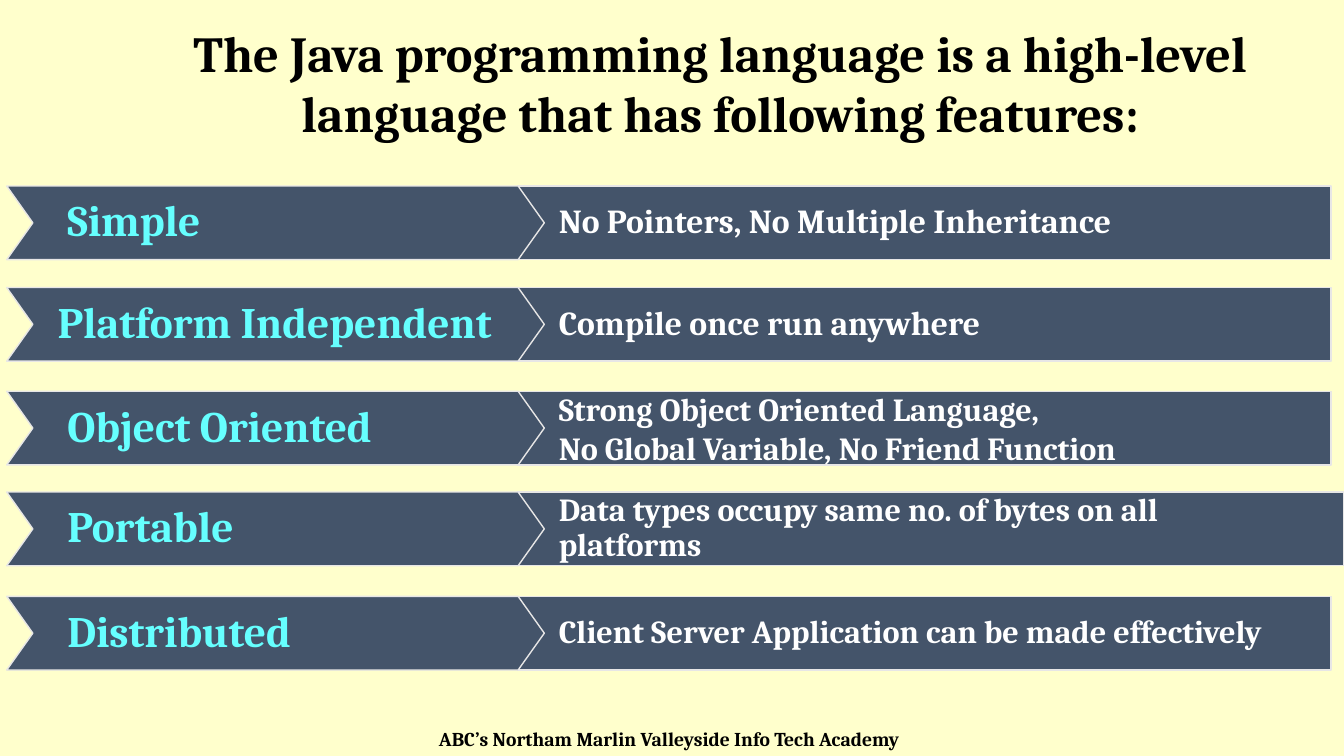
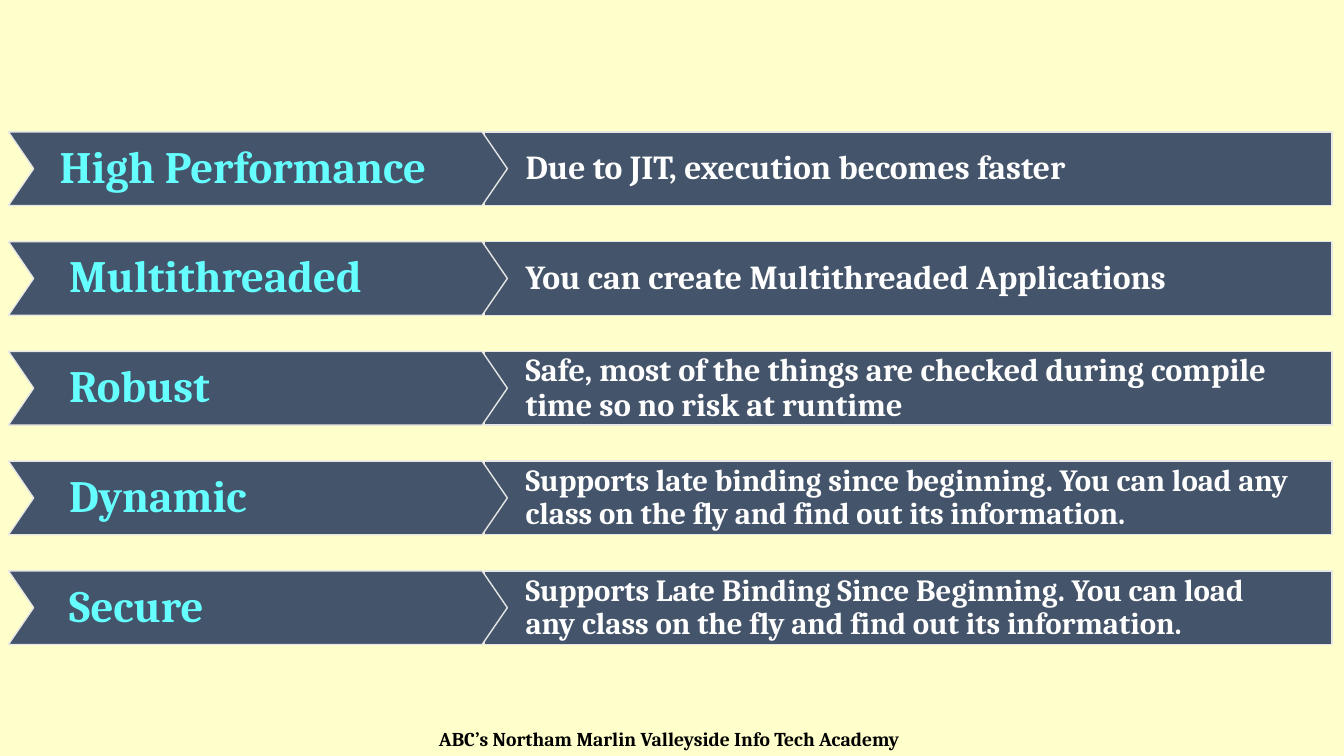
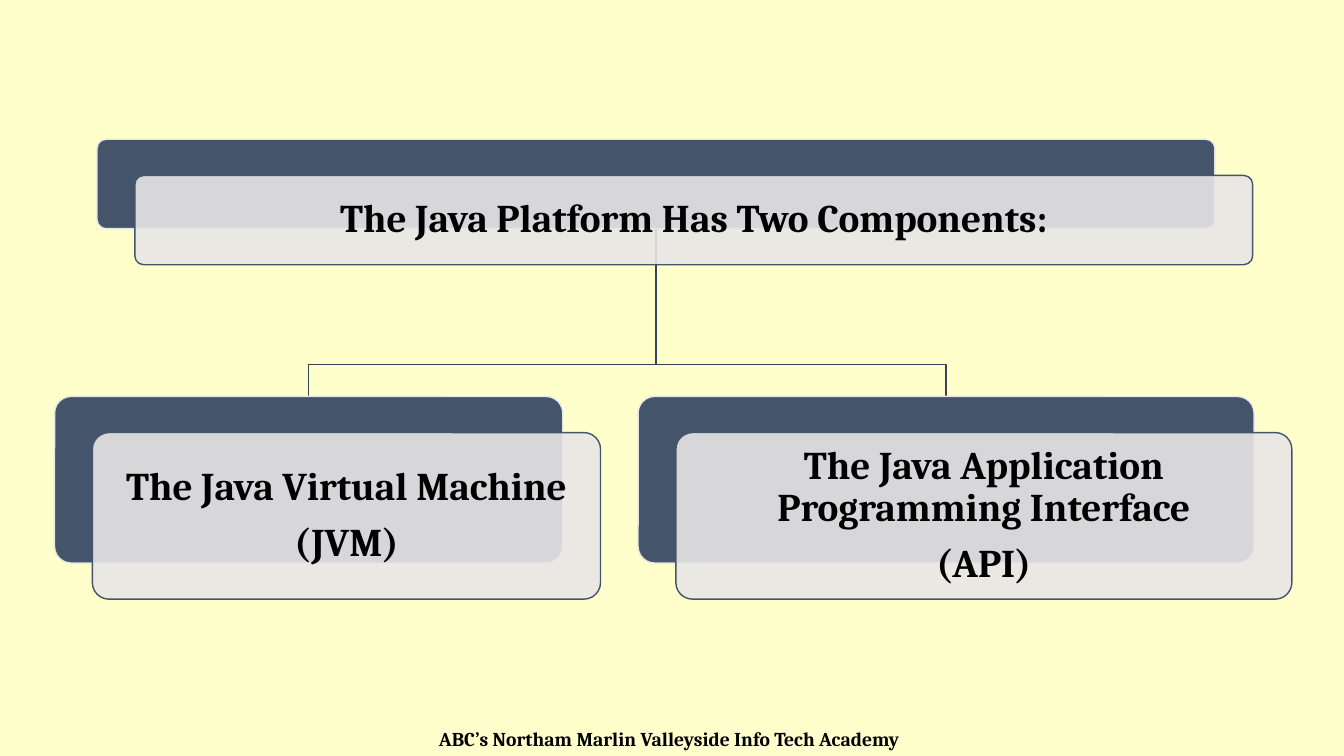
from dataclasses import dataclass

from lxml.etree import SubElement
from pptx import Presentation
from pptx.dml.color import RGBColor
from pptx.enum.shapes import MSO_SHAPE
from pptx.enum.text import MSO_ANCHOR, MSO_AUTO_SIZE, PP_ALIGN
from pptx.oxml.ns import qn
from pptx.util import Pt

FONT = "Cambria"
CREAM, SLATE, PALE, DARK = "FFFFCC", "44546A", "E7E6E6", "364355"
WHITE, CYAN, BLACK = "FFFFFF", "66FFFF", "000000"
SLIDE_WIDTH, SLIDE_HEIGHT = 960, 540
TITLE_ONLY, BLANK = 5, 6
ROW_HEIGHT = 52.6
CARD_OFFSET = (27, 25.8)
FOOTER = "ABC’s Northam Marlin Valleyside Info Tech Academy"


@dataclass
class Feature:
    """One row of a feature list."""
    label: str
    detail: str
    size: int = 23
    indent: float = 13.8
    line_spacing: float = 0.9
    extra_width: float = 0


@dataclass
class ListStyle:
    """Horizontal measures shared by the rows of one feature list."""
    left: float
    label_width: float
    point_depth: float
    detail_left: float
    detail_width: float
    label_size: int


def color(value):
    """Turn a hex string into a colour."""
    return RGBColor.from_string(value)


def outline(shape, line):
    """Give a shape a thin outline and no shadow."""
    shape.shadow.inherit = False
    shape.line.color.rgb = color(line)
    shape.line.width = Pt(1)


def set_margins(frame, left, top, right, bottom):
    """Set the inner margins of a text frame."""
    frame.margin_left, frame.margin_top = Pt(left), Pt(top)
    frame.margin_right, frame.margin_bottom = Pt(right), Pt(bottom)


def write(frame, text, size, text_color, alignment=PP_ALIGN.LEFT,
          anchor=MSO_ANCHOR.MIDDLE, line_spacing=0.9, space_after=0):
    """Fill a text frame with bold text in the shared font."""
    frame.word_wrap = True
    frame.auto_size = MSO_AUTO_SIZE.NONE
    frame.vertical_anchor = anchor
    frame.text = text
    for paragraph in frame.paragraphs:
        paragraph.alignment = alignment
        paragraph.line_spacing = line_spacing
        paragraph.space_before = Pt(0)
        paragraph.space_after = Pt(0)
        for run in paragraph.runs:
            run.font.name = FONT
            run.font.size = Pt(size)
            run.font.bold = True
            run.font.color.rgb = color(text_color)
    for paragraph in frame.paragraphs[:-1]:
        paragraph.space_after = Pt(space_after)


def place(shape, left, top, width, height):
    """Move and size a shape."""
    shape.left, shape.top = Pt(left), Pt(top)
    shape.width, shape.height = Pt(width), Pt(height)


def add_box(slide, kind, left, top, width, height, fill, line):
    """Add a preset shape with a flat fill and a thin outline."""
    shape = slide.shapes.add_shape(kind, Pt(left), Pt(top), Pt(width), Pt(height))
    shape.fill.solid()
    shape.fill.fore_color.rgb = color(fill)
    outline(shape, line)
    return shape


def add_footer(slide):
    """Add the academy name along the bottom edge."""
    footer = slide.shapes.add_textbox(
        Pt(0), Pt(515.5), Pt(SLIDE_WIDTH), Pt(24.4))
    set_margins(footer.text_frame, 7.2, 3.6, 10.8, 3.6)
    write(footer.text_frame, FOOTER, 14, BLACK, PP_ALIGN.CENTER,
          MSO_ANCHOR.TOP, line_spacing=1)


def add_feature_row(slide, feature, style, top):
    """Draw a chevron label and its description bar."""
    bar = add_box(slide, MSO_SHAPE.RECTANGLE, style.detail_left, top,
                  style.detail_width + feature.extra_width, ROW_HEIGHT,
                  SLATE, PALE)
    set_margins(bar.text_frame, 29.5, 1.4, 26.6, 1.4)
    write(bar.text_frame, feature.detail, feature.size, WHITE,
          line_spacing=feature.line_spacing)
    chevron = add_box(slide, MSO_SHAPE.CHEVRON, style.left, top,
                      style.label_width, ROW_HEIGHT, SLATE, PALE)
    chevron.adjustments[0] = style.point_depth / ROW_HEIGHT
    set_margins(chevron.text_frame,
                29.5 - style.point_depth + feature.indent, 1.4,
                26.6 - style.point_depth, 1.4)
    write(chevron.text_frame, feature.label, style.label_size, CYAN)


def add_feature_list(slide, features, style, tops):
    """Draw one row for each feature."""
    for feature, top in zip(features, tops):
        add_feature_row(slide, feature, style, top)


def add_branch(slide, start, end, bus_top):
    """Draw an open bent line that turns at the height of the bus."""
    points = [start, (start[0], bus_top), (end[0], bus_top), end]
    corners = [(Pt(across), Pt(down)) for across, down in points]
    builder = slide.shapes.build_freeform(*corners[0])
    builder.add_line_segments(corners[1:], close=False)
    branch = builder.convert_to_shape()
    branch.fill.background()
    outline(branch, DARK)


def add_card_back(slide, left, top, width, height):
    """Add the dark plate behind a card."""
    plate = add_box(slide, MSO_SHAPE.ROUNDED_RECTANGLE, left, top, width,
                    height, SLATE, PALE)
    plate.adjustments[0] = 0.1


def add_card_face(slide, text, left, top, width, height):
    """Add the translucent text panel, offset from its plate."""
    across, down = CARD_OFFSET
    face = add_box(slide, MSO_SHAPE.ROUNDED_RECTANGLE, left + across,
                   top + down, width, height, PALE, SLATE)
    face.adjustments[0] = 0.1
    fill_color = face.element.xpath("./p:spPr/a:solidFill/a:srgbClr")[0]
    SubElement(fill_color, qn("a:alpha")).set("val", "90000")
    set_margins(face.text_frame, 8.6, 8.6, 8.6, 8.6)
    write(face.text_frame, text, 28, BLACK, PP_ALIGN.CENTER, space_after=10)


def add_hierarchy(slide, root, children, bus_top):
    """Draw a root card joined to its child cards."""
    root_left, root_top, root_width, root_height = root[1]
    start = (root_left + root_width / 2, root_top + root_height)
    for text, (left, top, width, height) in children:
        add_branch(slide, start, (left + width / 2, top), bus_top)
    for text, box in [root, *children]:
        add_card_back(slide, *box)
        add_card_face(slide, text, *box)


def build_language_features(slide):
    """Build the titled list of language features."""
    title = slide.shapes.title
    place(title, 91.4, 12.2, 846, 94.3)
    write(title.text_frame,
          "The Java programming language is a high-level language "
          "that has following features:",
          36, BLACK, PP_ALIGN.CENTER, MSO_ANCHOR.TOP, line_spacing=1)
    features = [
        Feature("Simple", "No Pointers, No Multiple Inheritance", 24),
        Feature("Platform Independent", "Compile once run anywhere", 24,
                indent=6.8),
        Feature("Object Oriented",
                "Strong Object Oriented Language,\n"
                "No Global Variable, No Friend Function", line_spacing=1),
        Feature("Portable",
                "Data types occupy same no. of bytes on all platforms",
                extra_width=9),
        Feature("Distributed",
                "Client Server Application can be made effectively"),
    ]
    style = ListStyle(left=4.8, label_width=384, point_depth=18.7,
                      detail_left=369.6, detail_width=581.2, label_size=31)
    add_feature_list(slide, features, style, [132.9, 205.4, 279.5, 351.5, 426])


def build_runtime_features(slide):
    """Build the evenly spaced list of runtime features."""
    features = [
        Feature("High Performance", "Due to JIT, execution becomes faster",
                24, indent=7),
        Feature("Multithreaded", "You can create Multithreaded Applications",
                24),
        Feature("Robust",
                "Safe, most of the things are checked during compile time "
                "so no risk at runtime"),
        Feature("Dynamic",
                "Supports late binding since beginning. You can load any "
                "class on the fly and find out its information.", 22),
        Feature("Secure",
                "Supports Late Binding Since Beginning. You can load any "
                "class on the fly and find out its information.", 22),
    ]
    style = ListStyle(left=6, label_width=356.4, point_depth=18,
                      detail_left=345.9, detail_width=605.6, label_size=32)
    tops = [94.2 + 78.4 * row for row in range(len(features))]
    add_feature_list(slide, features, style, tops)


def build_platform_components(slide):
    """Build the diagram of the platform and its two parts."""
    root = ("The Java Platform Has Two Components:", (69.3, 99.5, 798.5, 63.8))
    children = [
        ("The Java Virtual Machine\n(JVM)", (39, 283.2, 363, 119)),
        ("The Java Application Programming Interface\n(API)",
         (455.8, 283.2, 440, 119)),
    ]
    add_hierarchy(slide, root, children, bus_top=260.6)


def main():
    """Build and save the presentation."""
    presentation = Presentation()
    presentation.slide_width = Pt(SLIDE_WIDTH)
    presentation.slide_height = Pt(SLIDE_HEIGHT)
    background = presentation.slide_master.background.fill
    background.solid()
    background.fore_color.rgb = color(CREAM)
    pages = [(TITLE_ONLY, build_language_features),
             (BLANK, build_runtime_features),
             (BLANK, build_platform_components)]
    for layout, build in pages:
        slide = presentation.slides.add_slide(presentation.slide_layouts[layout])
        add_footer(slide)
        build(slide)
    presentation.save("out.pptx")


if __name__ == "__main__":
    main()
